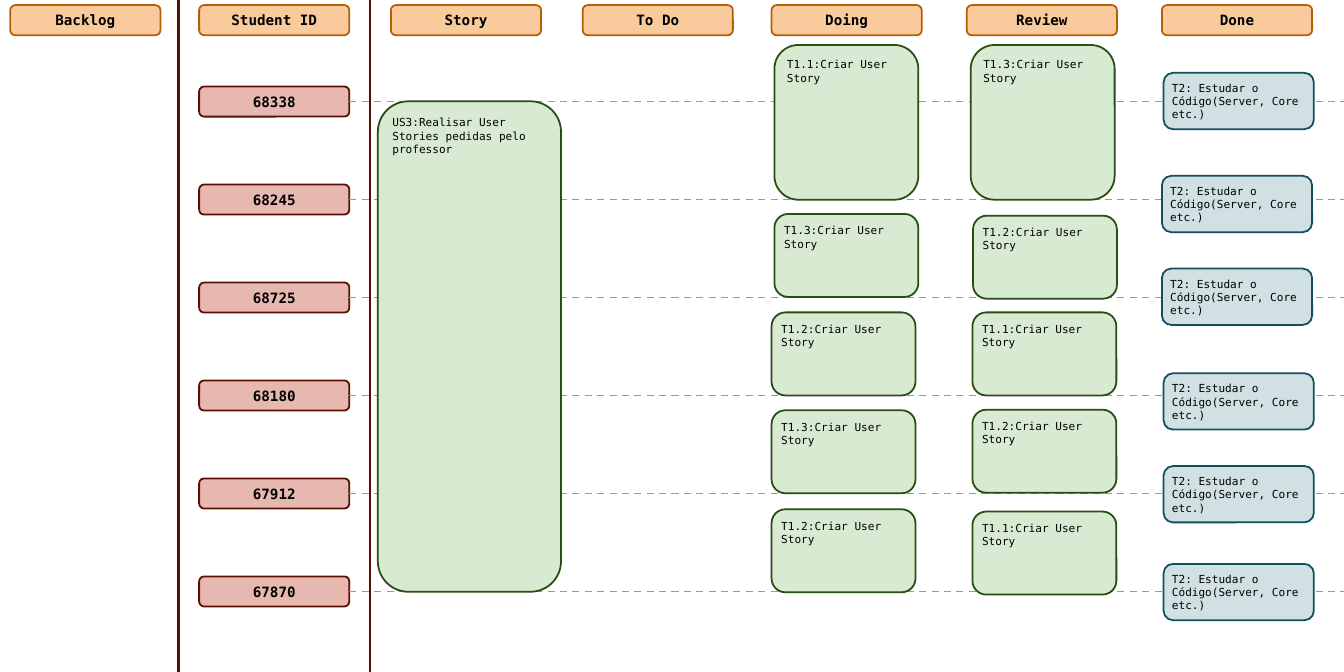
from lxml import etree
from pptx import Presentation
from pptx.dml.color import RGBColor
from pptx.enum.dml import MSO_LINE
from pptx.enum.shapes import MSO_CONNECTOR, MSO_SHAPE
from pptx.enum.text import MSO_ANCHOR, PP_ALIGN
from pptx.oxml.ns import qn
from pptx.util import Inches, Pt

ROUNDED, STRAIGHT = MSO_SHAPE.ROUNDED_RECTANGLE, MSO_CONNECTOR.STRAIGHT
LEFT, CENTER = PP_ALIGN.LEFT, PP_ALIGN.CENTER
TOP, MIDDLE = MSO_ANCHOR.TOP, MSO_ANCHOR.MIDDLE
DASH = MSO_LINE.DASH
RIGHT_SIDE = 3

WIDTH, HEIGHT = 23.62, 11.81
LABEL_WIDTH, LABEL_HEIGHT = 2.64, 0.53
TASK_WIDTH = 2.53
ID_LEFT, FIRST_ID_TOP, ROW_PITCH = 3.5, 1.52, 1.722

LABEL_FONT = {"name": "DejaVu Sans Mono", "size": Pt(18), "bold": True}
CARD_FONT = {"name": "DejaVu Sans Mono", "size": Pt(14), "bold": False}
HEADER = ("F9CB9C", "B45F06", LABEL_FONT, CENTER, MIDDLE)
STUDENT = ("E6B8AF", "5B0F00", LABEL_FONT, CENTER, MIDDLE)
STORY = ("D9EAD3", "274E13", CARD_FONT, LEFT, TOP)
FINISHED = ("D0E0E3", "134F5C", CARD_FONT, LEFT, TOP)

prs = Presentation()
prs.slide_width, prs.slide_height = Inches(WIDTH), Inches(HEIGHT)
slide = prs.slides.add_slide(prs.slide_layouts[6])


def add_card(text, left, top, width, height, style):
    fill, outline, font_values, align, anchor = style
    card = slide.shapes.add_shape(
        ROUNDED, Inches(left), Inches(top), Inches(width), Inches(height))
    card.shadow.inherit = False
    card.fill.solid()
    card.fill.fore_color.rgb = RGBColor.from_string(fill)
    card.line.color.rgb = RGBColor.from_string(outline)
    card.line.width = Pt(2.25)
    frame = card.text_frame
    frame.word_wrap = True
    frame.vertical_anchor = anchor
    for side in ("left", "right", "top", "bottom"):
        setattr(frame, f"margin_{side}", Inches(0.1))
    paragraph = frame.paragraphs[0]
    paragraph.text = text
    paragraph.alignment = align
    for attribute, value in font_values.items():
        setattr(paragraph.font, attribute, value)
    paragraph.font.color.rgb = RGBColor.from_string("000000")
    return card


def add_line(x1, y1, x2, y2, color, weight):
    line = slide.shapes.add_connector(
        STRAIGHT, Inches(x1), Inches(y1), Inches(x2), Inches(y2))
    line.line.color.rgb = RGBColor.from_string(color)
    line.line.width = Pt(weight)
    etree.SubElement(line._element.spPr, qn("a:effectLst"))
    return line


# Column dividers and headers
for x in (3.14, 6.5):
    add_line(x, 0, x, HEIGHT, "5B0F00", 3)

headers = {"Backlog": 0.18, "Student ID": ID_LEFT, "Story": 6.87, "To Do": 10.24,
           "Doing": 13.56, "Review": 16.99, "Done": 20.42}
for title, left in headers.items():
    add_card(title, left, 0.09, LABEL_WIDTH, LABEL_HEIGHT, HEADER)

# One dashed lane per student
student_ids = ("68338", "68245", "68725", "68180", "67912", "67870")
for row, student_id in enumerate(student_ids):
    top = FIRST_ID_TOP + row * ROW_PITCH
    badge = add_card(student_id, ID_LEFT, top, LABEL_WIDTH, LABEL_HEIGHT, STUDENT)
    lane_y = top + LABEL_HEIGHT / 2
    lane = add_line(ID_LEFT + LABEL_WIDTH, lane_y, WIDTH, lane_y, "999999", 2.25)
    lane.line.dash_style = DASH
    lane.begin_connect(badge, RIGHT_SIDE)

# Story, tasks in progress and in review, finished tasks
add_card("US3:Realisar User Stories pedidas pelo professor",
         6.64, 1.78, 3.22, 8.62, STORY)

tasks = [
    # number, left, top, height
    ("T1.1", 13.61, 0.79, 2.72),
    ("T1.3", 13.61, 3.76, 1.46),
    ("T1.2", 13.56, 5.49, 1.46),
    ("T1.3", 13.56, 7.21, 1.46),
    ("T1.2", 13.56, 8.95, 1.46),
    ("T1.3", 17.06, 0.79, 2.72),
    ("T1.2", 17.1, 3.79, 1.46),
    ("T1.1", 17.09, 5.49, 1.46),
    ("T1.2", 17.09, 7.2, 1.46),
    ("T1.1", 17.09, 8.99, 1.46),
]
for number, left, top, height in tasks:
    add_card(f"{number}:Criar User Story", left, top, TASK_WIDTH, height, STORY)

finished_places = [(20.45, 1.28), (20.42, 3.09), (20.42, 4.72),
                   (20.45, 6.56), (20.45, 8.19), (20.45, 9.91)]
for left, top in finished_places:
    add_card("T2: Estudar o Código(Server, Core etc.)",
             left, top, LABEL_WIDTH, 0.99, FINISHED)

prs.save("out.pptx")
